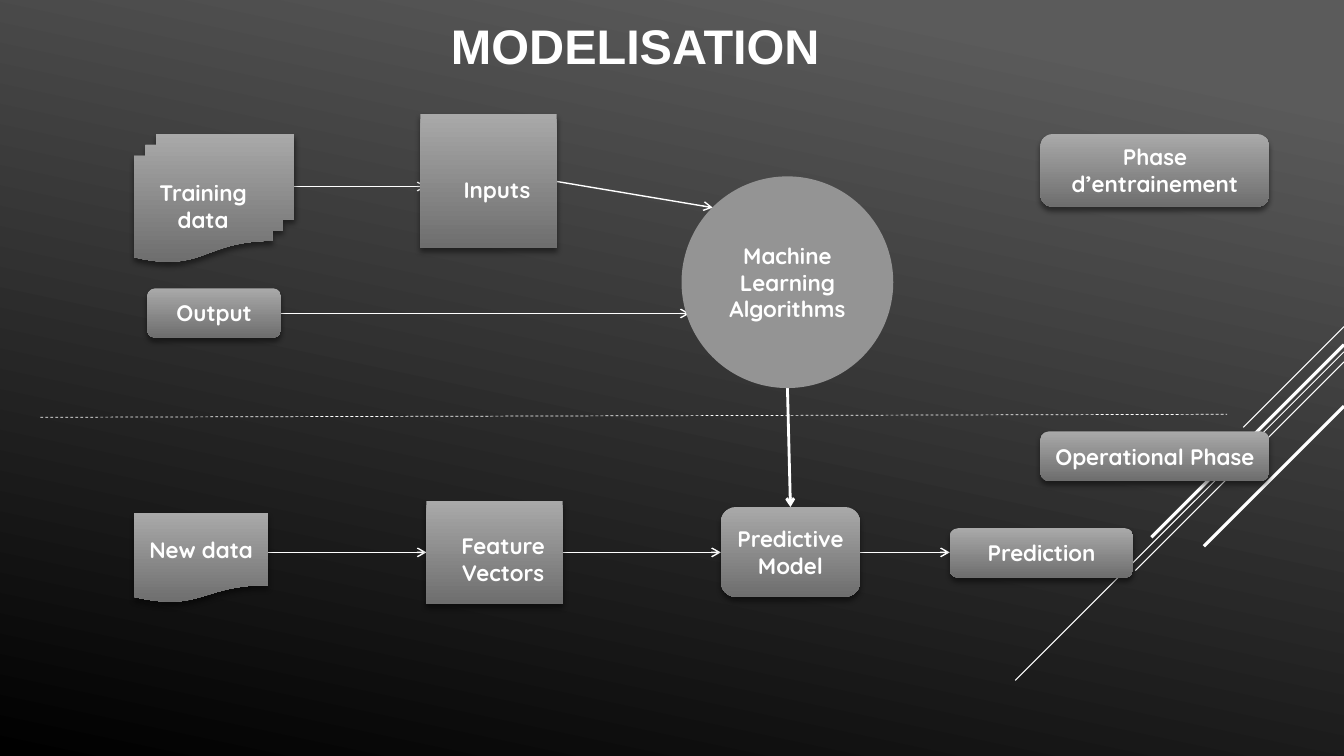
from dataclasses import dataclass
from typing import Optional

from lxml import etree
from pptx import Presentation
from pptx.dml.color import RGBColor
from pptx.dml.fill import FillFormat
from pptx.enum.dml import MSO_LINE
from pptx.enum.shapes import MSO_CONNECTOR, MSO_SHAPE
from pptx.enum.text import MSO_ANCHOR, MSO_AUTO_SIZE, PP_ALIGN
from pptx.oxml.ns import qn
from pptx.shapes.autoshape import Shape
from pptx.slide import Slide
from pptx.text.text import TextFrame
from pptx.util import Emu, Pt

EMU_PER_PX = 9144  # 100 px to the inch
TITLE_ONLY_LAYOUT = 5

STORAGE = MSO_SHAPE.FLOWCHART_INTERNAL_STORAGE
DOCUMENT = MSO_SHAPE.FLOWCHART_DOCUMENT
DOCUMENTS = MSO_SHAPE.FLOWCHART_MULTIDOCUMENT
PROCESS = MSO_SHAPE.FLOWCHART_ALTERNATE_PROCESS
CIRCLE = MSO_SHAPE.OVAL
STRAIGHT = MSO_CONNECTOR.STRAIGHT
DASH = MSO_LINE.DASH
MIDDLE = MSO_ANCHOR.MIDDLE
CENTER = PP_ALIGN.CENTER
GROW = MSO_AUTO_SIZE.SHAPE_TO_FIT_TEXT


@dataclass(frozen=True)
class Theme:
    text: str = "FFFFFF"
    line: str = "FFFFFF"
    background_light: str = "5B5B5B"
    background_dark: str = "000000"
    node_light: str = "A9A9A9"
    node_dark: str = "6E6E6E"
    circle: str = "949494"
    shadow: str = "000000"
    title_font: str = "Arial"
    node_font: str = "Quicksand"
    title_size: float = 34.7
    node_size: float = 16


@dataclass(frozen=True)
class Node:
    text: str
    kind: MSO_SHAPE
    left: int
    top: int
    width: int
    height: int


@dataclass(frozen=True)
class Line:
    start: tuple[int, int]
    end: tuple[int, int]
    width: float = 1
    arrow: bool = True
    dash: Optional[MSO_LINE] = None


@dataclass(frozen=True)
class Ray:
    """A 45-degree stroke running down and left from the right edge."""
    top: int
    run: int
    width: float


THEME = Theme()
SLIDE_WIDTH, SLIDE_HEIGHT = 1333, 750

RAYS = [
    Ray(324, 100, 0.75),
    Ray(349, 326, 0.75),
    Ray(359, 207, 0.75),
    Ray(342, 191, 2.25),
    Ray(403, 139, 2.25),
]

NODES = [
    Node("Inputs", STORAGE, 417, 113, 135, 133),
    Node("Training data", DOCUMENTS, 133, 133, 159, 127),
    Node("Output", PROCESS, 146, 286, 133, 49),
    Node("Machine Learning Algorithms", CIRCLE, 676, 175, 210, 210),
    Node("Feature Vectors", STORAGE, 423, 497, 135, 102),
    Node("New data", DOCUMENT, 133, 509, 133, 89),
    Node("Prediction", PROCESS, 942, 524, 182, 49),
    Node("Phase d’entrainement", PROCESS, 1032, 133, 227, 72),
    Node("Operational Phase", PROCESS, 1032, 428, 227, 49),
    Node("Predictive Model", PROCESS, 715, 503, 138, 89),
]

LINES = [
    Line((40, 414), (1217, 411), 0.5, arrow=False, dash=DASH),
    Line((292, 185), (423, 185)),
    Line((552, 180), (707, 206)),
    Line((279, 311), (684, 311)),
    Line((781, 385), (784, 503), 2),
    Line((266, 548), (423, 548)),
    Line((558, 548), (715, 548)),
    Line((853, 548), (942, 548)),
]


def px(length: int) -> Emu:
    return Emu(length * EMU_PER_PX)


def rgb(color: str) -> RGBColor:
    return RGBColor.from_string(color)


def fill_gradient(fill: FillFormat, first: str, last: str,
                  clockwise_angle: int, start: float = 0) -> None:
    fill.gradient()
    fill.gradient_angle = 360 - clockwise_angle
    first_stop, last_stop = fill.gradient_stops
    first_stop.color.rgb = rgb(first)
    first_stop.position = start
    last_stop.color.rgb = rgb(last)
    last_stop.position = 1


def set_text(frame: TextFrame, text: str, font_name: str, size: float) -> None:
    frame.text = text
    frame.word_wrap = True
    frame.vertical_anchor = MIDDLE
    paragraph = frame.paragraphs[0]
    paragraph.alignment = CENTER
    font = paragraph.runs[0].font
    font.name = font_name
    font.size = Pt(size)
    font.bold = True
    font.color.rgb = rgb(THEME.text)


def add_shadow(shape: Shape) -> None:
    effects = shape._element.spPr.find(qn("a:effectLst"))
    shadow = etree.SubElement(
        effects, qn("a:outerShdw"), blurRad=str(Pt(4)), dist=str(Pt(3)),
        dir="5400000", algn="ctr", rotWithShape="0")
    color = etree.SubElement(shadow, qn("a:srgbClr"), val=THEME.shadow)
    etree.SubElement(color, qn("a:alpha"), val="46000")


def add_title(slide: Slide, text: str) -> None:
    title = slide.shapes.title
    title.left, title.top = px(123), px(15)
    title.width, title.height = px(1001), px(59)
    frame = title.text_frame
    set_text(frame, text, THEME.title_font, THEME.title_size)
    frame.margin_left = frame.margin_right = 0
    frame.margin_top = frame.margin_bottom = 0
    frame.auto_size = GROW


def add_node(slide: Slide, node: Node) -> None:
    shape = slide.shapes.add_shape(
        node.kind, px(node.left), px(node.top), px(node.width), px(node.height))
    shape.line.fill.background()
    shape.shadow.inherit = False
    if node.kind == CIRCLE:
        shape.fill.solid()
        shape.fill.fore_color.rgb = rgb(THEME.circle)
    else:
        fill_gradient(shape.fill, THEME.node_light, THEME.node_dark, 90)
        add_shadow(shape)
    set_text(shape.text_frame, node.text, THEME.node_font, THEME.node_size)


def add_line(slide: Slide, line: Line) -> None:
    connector = slide.shapes.add_connector(
        STRAIGHT, *map(px, line.start), *map(px, line.end))
    connector.line.color.rgb = rgb(THEME.line)
    connector.line.width = Pt(line.width)
    if line.dash is not None:
        connector.line.dash_style = line.dash
    properties = connector._element.spPr
    if line.arrow:
        outline = properties.find(qn("a:ln"))
        etree.SubElement(outline, qn("a:tailEnd"), type="arrow")
    etree.SubElement(properties, qn("a:effectLst"))


def add_ray(slide: Slide, ray: Ray) -> None:
    end = (SLIDE_WIDTH - ray.run, ray.top + ray.run)
    add_line(slide, Line((SLIDE_WIDTH, ray.top), end, ray.width, arrow=False))


def main() -> None:
    presentation = Presentation()
    presentation.slide_width = px(SLIDE_WIDTH)
    presentation.slide_height = px(SLIDE_HEIGHT)
    slide = presentation.slides.add_slide(
        presentation.slide_layouts[TITLE_ONLY_LAYOUT])
    fill_gradient(slide.background.fill, THEME.background_light,
                  THEME.background_dark, 102, start=0.1)
    add_title(slide, " MODELISATION")
    for ray in RAYS:
        add_ray(slide, ray)
    for line in LINES:
        add_line(slide, line)
    for node in NODES:
        add_node(slide, node)
    presentation.save("out.pptx")


if __name__ == "__main__":
    main()
